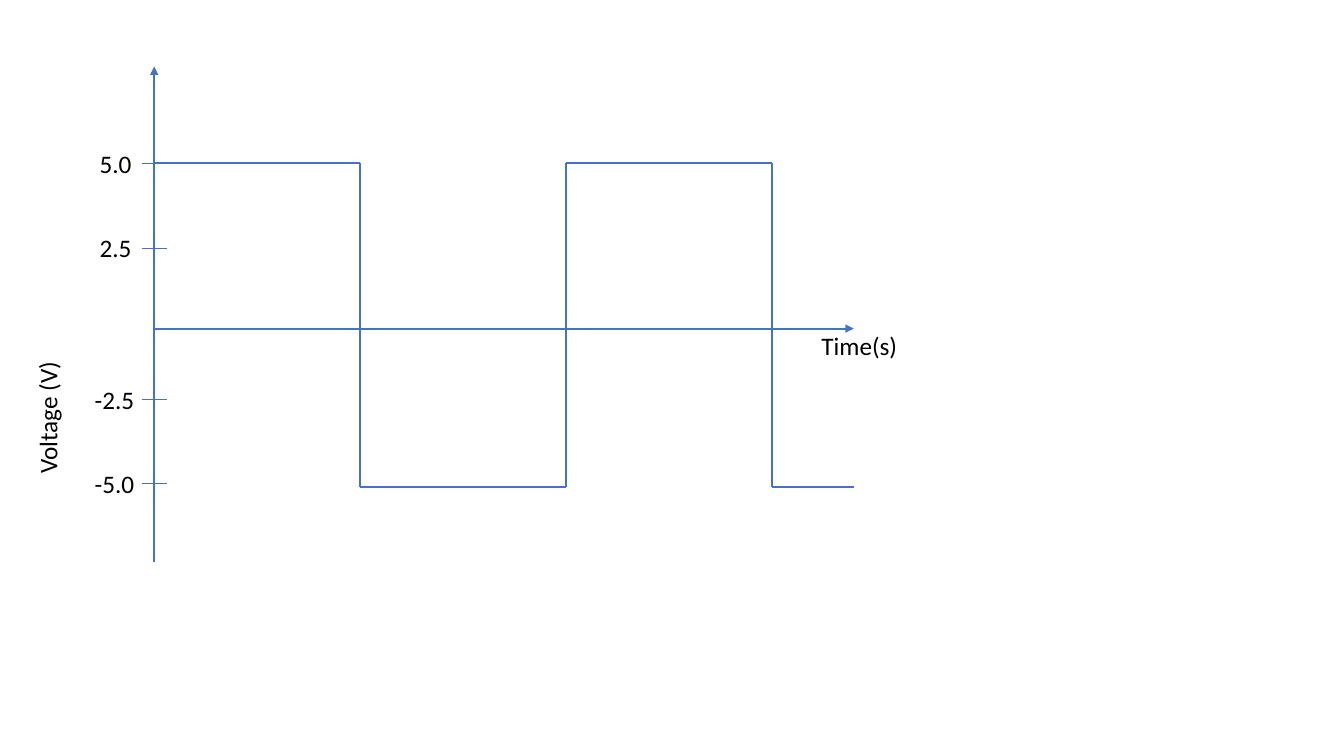
from dataclasses import dataclass
from itertools import pairwise

from lxml.etree import SubElement
from pptx import Presentation
from pptx.dml.color import RGBColor
from pptx.enum.shapes import MSO_CONNECTOR
from pptx.enum.text import MSO_AUTO_SIZE, PP_ALIGN
from pptx.oxml.ns import qn
from pptx.util import Inches, Pt


@dataclass(frozen=True)
class Theme:
    line: RGBColor = RGBColor(0x44, 0x72, 0xC4)
    text: RGBColor = RGBColor(0, 0, 0)
    font: str = "Calibri"
    text_size: float = 18
    heavy: float = 1.5
    thin: float = 0.5


@dataclass(frozen=True)
class Box:
    left: float
    top: float
    width: float
    height: float


THEME = Theme()
CELL = Inches(1 / 12)  # the slide is a grid of 160 columns by 90 rows
COLUMNS, ROWS = 160, 90

PLOT = Box(18.36, 7.92, 83.28, 59.04)
ZERO_ROW, HIGH_ROW, LOW_ROW = 31.2, 11.52, 50.04
HALF_PERIOD = 24.5
HALF_TICK = 1.5
LABEL_HEIGHT = 4.8
TICKS = {"5.0": HIGH_ROW, "2.5": 21.6, "-2.5": 39.6, "-5.0": 49.68}


def cells(*counts):
    return [round(count * CELL) for count in counts]


def add_line(page, box, start, end, weight=THEME.heavy, arrow=False):
    """Join two (column, row) points counted from the box's corner."""
    ends = [box.left + start[0], box.top + start[1],
            box.left + end[0], box.top + end[1]]
    line = page.shapes.add_connector(MSO_CONNECTOR.STRAIGHT, *cells(*ends))
    line.line.color.rgb = THEME.line
    line.line.width = Pt(weight)
    if arrow:
        SubElement(line.line._get_or_add_ln(), qn("a:tailEnd"), type="triangle")
    SubElement(line._element.spPr, qn("a:effectLst"))


def add_label(page, box, words, left, top, width, height=LABEL_HEIGHT):
    label = page.shapes.add_textbox(
        *cells(box.left + left, box.top + top, width, height))
    frame = label.text_frame
    frame.word_wrap = True
    frame.auto_size = MSO_AUTO_SIZE.SHAPE_TO_FIT_TEXT
    para = frame.paragraphs[0]
    para.text = words
    para.font.name = THEME.font
    para.font.size = Pt(THEME.text_size)
    para.font.color.rgb = THEME.text
    return label


def draw_axes(page, box):
    add_line(page, box, (0, box.height), (0, 0), arrow=True)
    add_line(page, box, (0, ZERO_ROW), (box.width, ZERO_ROW), arrow=True)
    add_label(page, box, "Time(s)", 78.24, ZERO_ROW - 0.36, 12.96)

    # Vertical title, reading upwards
    title = add_label(page, box, "Voltage (V)", -15.12, 9.12, 6, 40.56)
    title.rotation = 180
    title.text_frame._txBody.bodyPr.set("vert", "eaVert")
    title.text_frame.paragraphs[0].alignment = PP_ALIGN.CENTER


def draw_scale(page, box):
    for words, row in TICKS.items():
        add_line(page, box, (-HALF_TICK, row), (HALF_TICK, row), THEME.thin)
        left, width = (-8.28, 7.8) if words.startswith("-") else (-7.68, 6.84)
        add_label(page, box, words, left, row - LABEL_HEIGHT / 2, width)


def draw_square_wave(page, box):
    # Each half period holds its level, then steps to the other one
    points = []
    for step, row in enumerate([HIGH_ROW, LOW_ROW, HIGH_ROW, LOW_ROW]):
        start = step * HALF_PERIOD
        points += [(start, row), (min(start + HALF_PERIOD, box.width), row)]
    for start, end in pairwise(points):
        add_line(page, box, start, end)


def main():
    deck = Presentation()
    deck.slide_width, deck.slide_height = cells(COLUMNS, ROWS)
    page = deck.slides.add_slide(deck.slide_layouts[6])
    for draw in (draw_axes, draw_scale, draw_square_wave):
        draw(page, PLOT)
    deck.save("out.pptx")


main()
